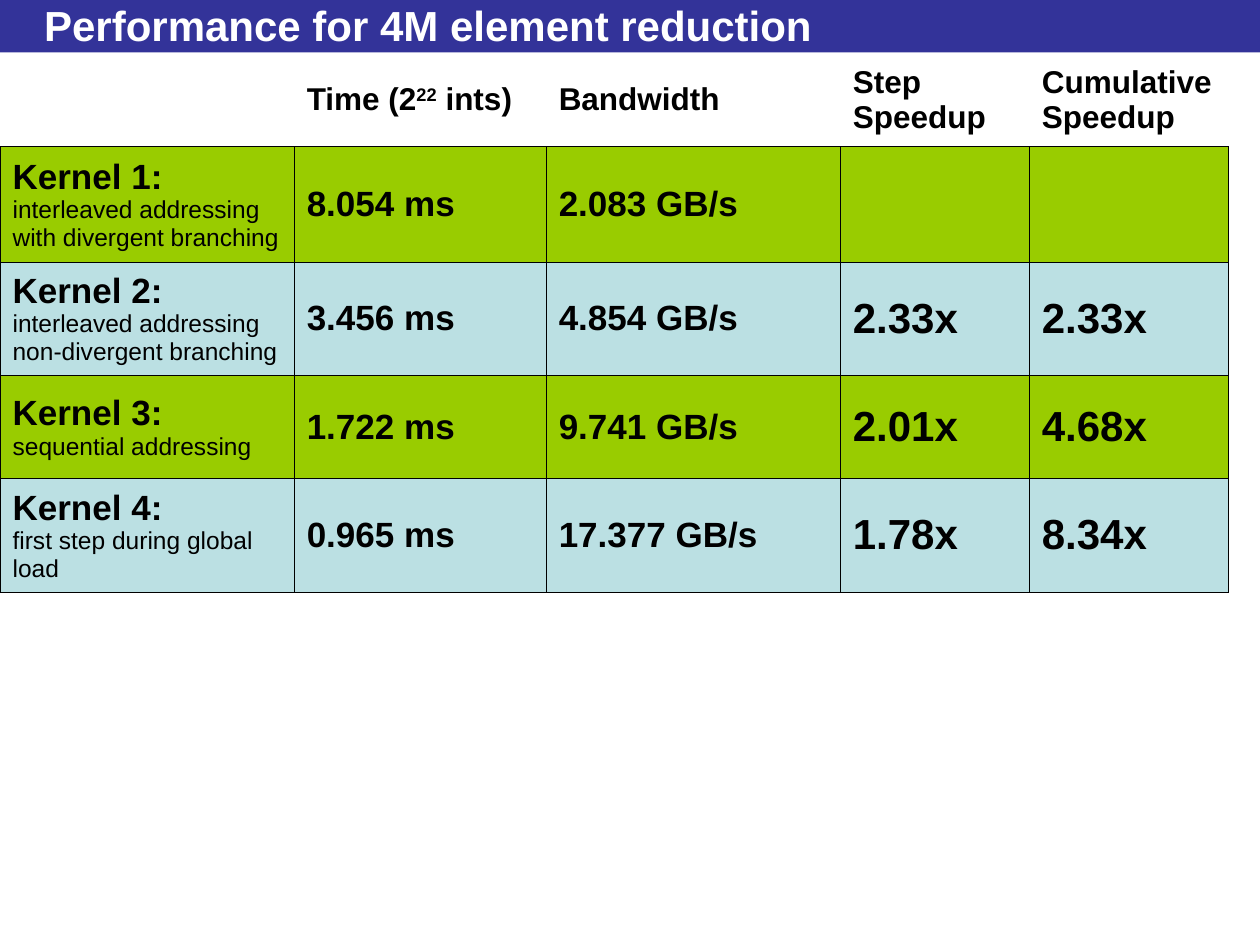
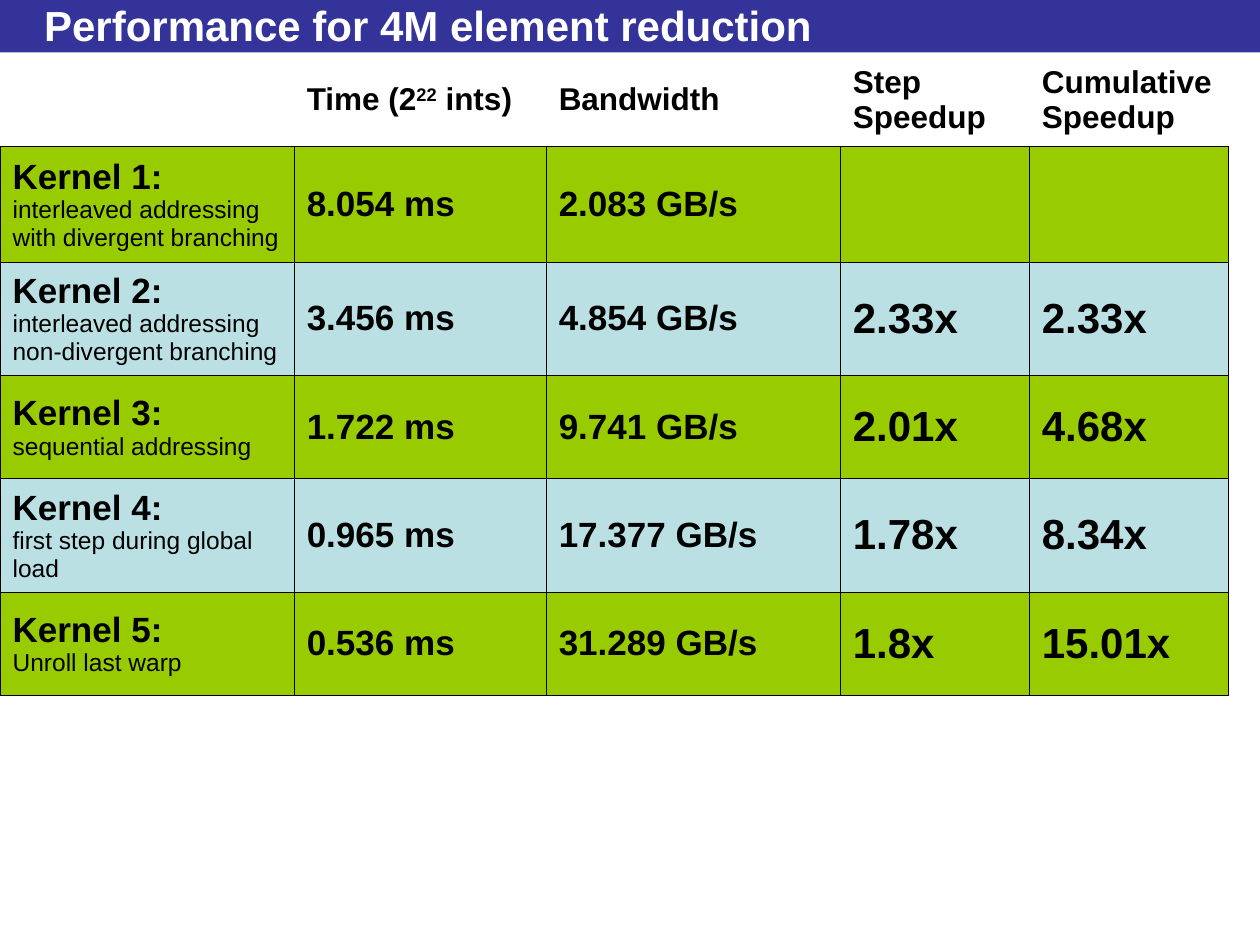
"""Builds two slides with the timings of the 4M element reduction kernels."""
from copy import deepcopy

from pptx import Presentation
from pptx.dml.color import RGBColor
from pptx.enum.shapes import MSO_SHAPE as Shape
from pptx.enum.text import MSO_ANCHOR as Anchor
from pptx.oxml import parse_xml
from pptx.oxml.ns import nsdecls
from pptx.util import Cm, Pt

TITLE = "Performance for 4M element reduction"
HEADINGS = [
    [],
    [("Time (2", {}), ("22", {"raised": True}), (" ints)", {})],
    [("Bandwidth", {})],
    [("Step Speedup", {})],
    [("Cumulative Speedup", {})],
]
KERNELS = [
    ("Kernel 1:", "interleaved addressing\nwith divergent branching",
     "8.054 ms", "2.083 GB/s", "", "", 2.32),
    ("Kernel 2:", "interleaved addressing\nnon-divergent branching",
     "3.456 ms", "4.854 GB/s", "2.33x", "2.33x", 2.28),
    ("Kernel 3:", "sequential addressing",
     "1.722 ms", "9.741 GB/s", "2.01x", "4.68x", 2.08),
    ("Kernel 4:", "first step during global load",
     "0.965 ms", "17.377 GB/s", "1.78x", "8.34x", 2.28),
    ("Kernel 5:", "Unroll last warp",
     "0.536 ms", "31.289 GB/s", "1.8x", "15.01x", 2.08),
]
KERNELS_PER_SLIDE = [4, 5]

FONT = "Arial"
BLACK, WHITE, BAND = "000000", "FFFFFF", "333399"
ROW_FILLS = ["99CC00", "BBE0E3"]
SLIDE_SIZE = (25.4, 19.05)
BAND_HEIGHT = 1.06
HEADING_HEIGHT = 1.9
COLUMN_WIDTHS = [5.93, 5.08, 5.93, 3.81, 4.02]


def rgb(code):
    return RGBColor.from_string(code)


def write(paragraph, text, size=18, color=BLACK, bold=True, raised=False):
    for index, line in enumerate(text.split("\n")):
        if index:
            paragraph.add_line_break()
            paragraph._p[-1].insert(0, deepcopy(run._r.rPr))
        run = paragraph.add_run()
        run.text = line
        run.font.name = FONT
        run.font.size = Pt(size)
        run.font.bold = bold
        run.font.color.rgb = rgb(color)
        if raised:
            run._r.rPr.set("baseline", "30000")


def set_borders(cell, drawn):
    for position, side in enumerate("LRTB"):
        paint = (f'<a:solidFill><a:srgbClr val="{BLACK}"/></a:solidFill>'
                 if side in drawn else "<a:noFill/>")
        border = parse_xml(f'<a:ln{side} {nsdecls("a")} w="{Pt(0.45)}">{paint}</a:ln{side}>')
        cell._tc.get_or_add_tcPr().insert(position, border)


def fill_cell(cell, pieces, fill=None):
    cell.vertical_anchor = Anchor.MIDDLE
    if fill:
        cell.fill.solid()
        cell.fill.fore_color.rgb = rgb(fill)
    else:
        cell.fill.background()
    set_borders(cell, "LRTB" if fill else "B")
    for text, style in pieces:
        write(cell.text_frame.paragraphs[0], text, **style)


def add_title(slide):
    band = slide.shapes.add_shape(Shape.RECTANGLE, 0, 0, Cm(SLIDE_SIZE[0]), Cm(BAND_HEIGHT))
    band.shadow.inherit = False
    band.fill.solid()
    band.fill.fore_color.rgb = rgb(BAND)
    band.line.fill.background()
    title = slide.shapes.add_textbox(Cm(0.64), Cm(0.13), Cm(23.5), Cm(0.72)).text_frame
    title.word_wrap = True
    title.vertical_anchor = Anchor.MIDDLE
    write(title.paragraphs[0], TITLE, size=24, color=WHITE)


def kernel_pieces(name, method, time, bandwidth, step, cumulative):
    label = [(name + "\n", {"size": 20}), (method, {"size": 14, "bold": False})]
    measured = [[(value, {"size": 20})] for value in (time, bandwidth)]
    speedups = [[(value, {"size": 24})] if value else [] for value in (step, cumulative)]
    return [label, *measured, *speedups]


def add_timings(slide, kernels):
    heights = [HEADING_HEIGHT] + [kernel[-1] for kernel in kernels]
    timings = slide.shapes.add_table(
        len(heights), len(COLUMN_WIDTHS), 0, Cm(BAND_HEIGHT),
        Cm(sum(COLUMN_WIDTHS)), Cm(sum(heights))).table
    timings.first_row = timings.horz_banding = False
    for column, width in zip(timings.columns, COLUMN_WIDTHS):
        column.width = Cm(width)
    for row, height in zip(timings.rows, heights):
        row.height = Cm(height)
    for column, pieces in enumerate(HEADINGS):
        fill_cell(timings.cell(0, column), pieces)
    for index, kernel in enumerate(kernels):
        for column, pieces in enumerate(kernel_pieces(*kernel[:-1])):
            fill_cell(timings.cell(index + 1, column), pieces, ROW_FILLS[index % 2])


def main():
    deck = Presentation()
    deck.slide_width, deck.slide_height = map(Cm, SLIDE_SIZE)
    for count in KERNELS_PER_SLIDE:
        slide = deck.slides.add_slide(deck.slide_layouts[6])
        add_title(slide)
        add_timings(slide, KERNELS[:count])
    deck.save("out.pptx")


if __name__ == "__main__":
    main()
